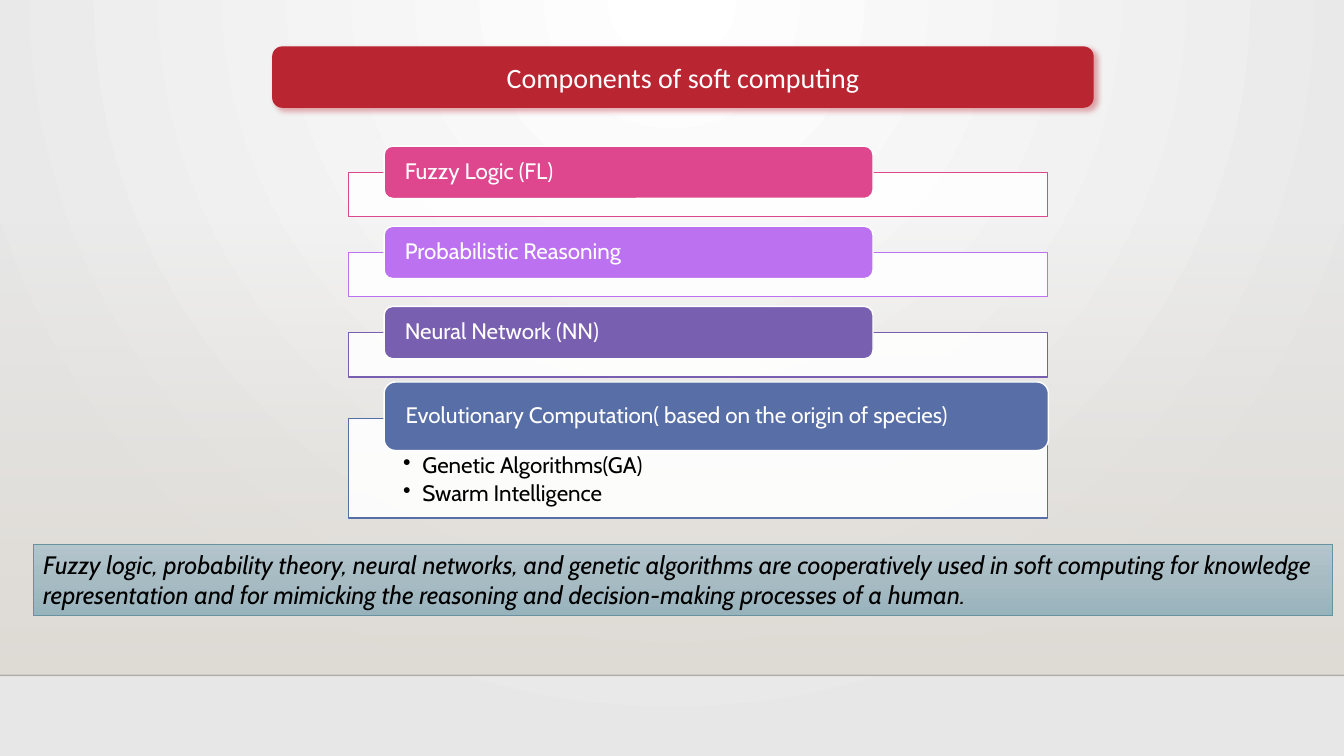
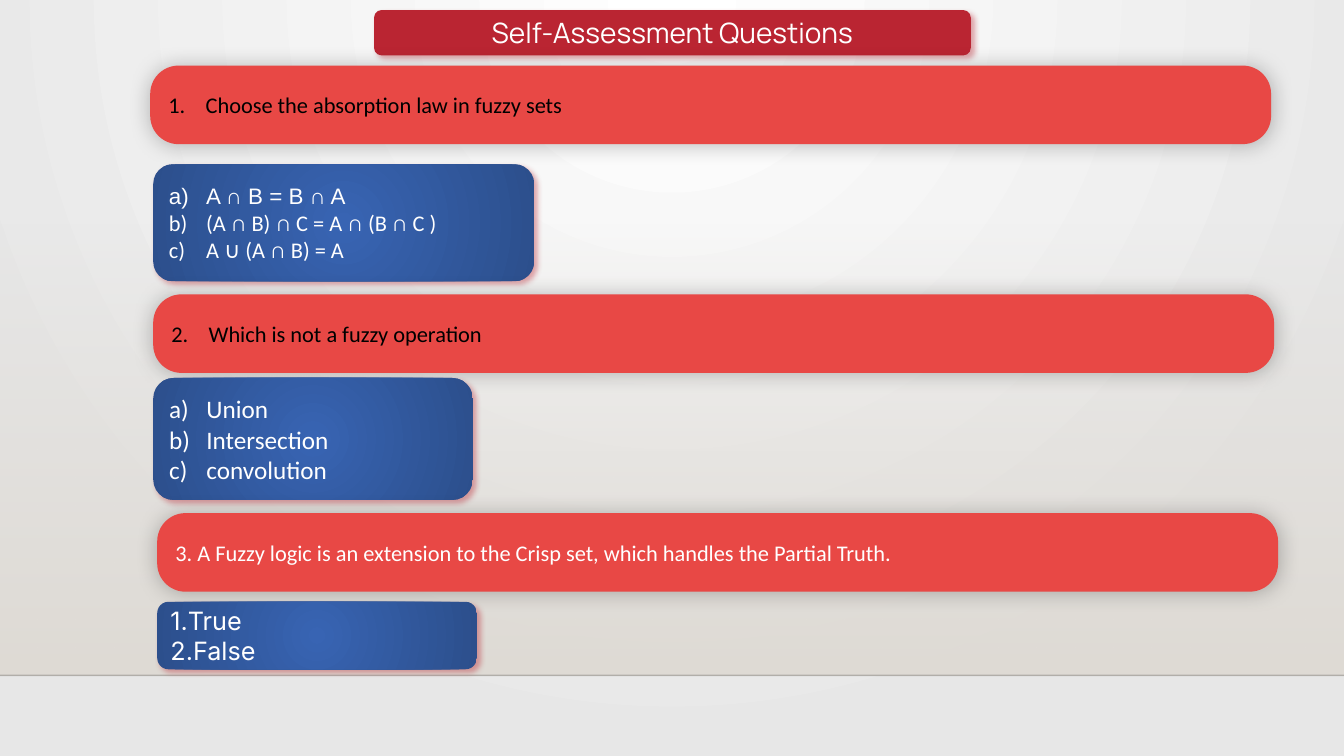
"""Build two slides on soft computing: its components and a self-assessment quiz."""
from dataclasses import dataclass, replace
from typing import NamedTuple, Optional

from pptx import Presentation
from pptx.dml.color import RGBColor
from pptx.enum.shapes import MSO_CONNECTOR, MSO_SHAPE
from pptx.enum.text import MSO_ANCHOR, PP_ALIGN
from pptx.oxml import parse_xml
from pptx.oxml.ns import nsdecls, qn
from pptx.util import Inches, Pt

W, H = 13.33, 7.5
HORIZON = 89.33

COLORS = {
    "white": "FFFFFF", "black": "000000", "mist": "E7E7E7", "sand": "DFDBD5",
    "title": "BA2532", "question": "E84845",
    "answer": "3864B3", "answer_edge": "2C4F8C",
    "note_top": "B4C5CC", "note_mid": "A7BBC3", "note_end": "98B3BC", "note_line": "6892A0",
    "pink": "DE478E", "violet": "BC72F0", "purple": "795FAF", "blue": "586EA6",
}


class Box(NamedTuple):
    """Left, top, width and height as percentages of the slide."""
    x: float
    y: float
    w: float
    h: float


class Stop(NamedTuple):
    """Gradient stop; position and opacity in percent."""
    pos: int
    color: str
    alpha: int = 100


class Shadow(NamedTuple):
    """Outer shadow; opacity in percent, blur and distance in points."""
    color: str
    alpha: int
    blur: int
    dist: int
    angle: int


@dataclass(frozen=True)
class Style:
    """Look of a paragraph; indent in inches, spacing in points."""
    font: str = "Calibri"
    size: int = 16
    color: str = "white"
    italic: bool = False
    align: PP_ALIGN = PP_ALIGN.LEFT
    bullet: str = ""
    start: int = 1
    indent: float = 0
    spacing: float = 1
    after: float = 0


class Line(NamedTuple):
    """One paragraph of text."""
    text: str
    style: Style


class Component(NamedTuple):
    """Heading tab over the top edge of a frame."""
    name: str
    color: str
    y: float
    head_w: float = 36.38
    head_h: float = 6.93
    rise: float = 3.47
    body_h: float = 5.87
    points: tuple[str, ...] = ()


class Quiz(NamedTuple):
    """A question bar with its answer card."""
    question: Line
    answers: tuple[Line, ...]
    x: float
    y: float
    card_y: float
    card_w: float
    card_h: float


GLOW = Shadow("title", 40, 4, 3, 45)
HALO = Shadow("black", 25, 15, 0, 0)
NOTE_STOPS = (Stop(0, "note_top"), Stop(50, "note_mid"), Stop(100, "note_end"))
CARD_STOPS = (Stop(0, "answer"), Stop(100, "answer_edge"))

TITLE = Style(size=20, align=PP_ALIGN.CENTER)
NOTE = Style("Cabin", 18, "black", italic=True)
HEAD = Style("Cabin", spacing=0.9)
POINT = Style("Cabin", color="black", bullet="•", indent=0.19, spacing=0.9, after=2.4)
ASK = Style(color="black", bullet="arabicPeriod", indent=0.37)
OPTION = Style(bullet="alphaLcParenR", indent=0.37)
OPTION_BIG = replace(OPTION, size=18)
VERDICT = Style("Inter", 18, align=PP_ALIGN.JUSTIFY, bullet="arabicPeriod")

COMPONENTS = (
    Component("Fuzzy Logic (FL)", "pink", 22.8),
    Component("Probabilistic Reasoning", "violet", 33.4),
    Component("Neural Network (NN)", "purple", 44),
    Component("Evolutionary Computation( based on the origin of species)", "blue", 55.33,
              49.43, 9.07, 4.8, 13.2, ("Genetic Algorithms(GA)", "Swarm Intelligence")),
)
SUMMARY = (
    "Fuzzy logic, probability theory, neural networks, and genetic algorithms are "
    "cooperatively used in soft computing for knowledge representation and for mimicking "
    "the reasoning and decision-making processes of a human."
)
QUIZZES = (
    Quiz(Line("Choose the absorption law in fuzzy sets", ASK),
         (Line("A ∩ B = B ∩ A", replace(OPTION, font="Arial")),
          Line("(A ∩ B) ∩ C = A ∩ (B ∩ C )", OPTION),
          Line("A ∪ (A ∩ B) = A", OPTION)),
         11.18, 8.67, 21.73, 28.35, 15.47),
    Quiz(Line("Which is not a fuzzy operation", replace(ASK, start=2)),
         tuple(Line(t, OPTION_BIG) for t in ("Union", "Intersection", "convolution")),
         11.4, 38.93, 50, 23.78, 16.13),
    Quiz(Line("3. A Fuzzy logic is an extension to the Crisp set, which handles the Partial Truth.",
              Style()),
         tuple(Line(t, VERDICT) for t in ("True", "False")),
         11.7, 67.87, 79.6, 23.78, 8.93),
)


def rgb(name: str) -> RGBColor:
    """Look up a colour."""
    return RGBColor.from_string(COLORS[name])


def place(box: Box) -> list:
    """Turn percentages of the slide into lengths."""
    return [Inches(v * side / 100) for v, side in zip(box, (W, H, W, H))]


def color_xml(name: str, alpha: int = 100) -> str:
    """Colour markup with opacity."""
    return f'<a:srgbClr val="{COLORS[name]}"><a:alpha val="{alpha * 1000}"/></a:srgbClr>'


def set_gradient(fill, parent, stops: tuple[Stop, ...],
                 focus: Optional[tuple[int, int, int, int]] = None) -> None:
    """Fill with a downward gradient, or a circular one around a focus."""
    fill.background()
    gs = "".join(f'<a:gs pos="{g.pos * 1000}">{color_xml(g.color, g.alpha)}</a:gs>' for g in stops)
    if focus:
        sides = " ".join(f'{k}="{v * 1000}"' for k, v in zip("ltrb", focus))
        shade = f'<a:path path="circle"><a:fillToRect {sides}/></a:path>'
    else:
        shade = '<a:lin ang="5400000" scaled="0"/>'
    grad = parse_xml(f'<a:gradFill {nsdecls("a")} rotWithShape="1"><a:gsLst>{gs}</a:gsLst>'
                     f'{shade}</a:gradFill>')
    parent.replace(parent.find(qn("a:noFill")), grad)


def set_alpha(parent, alpha: int) -> None:
    """Make the first colour below an element see-through."""
    clr = parent.find(".//" + qn("a:srgbClr"))
    clr.append(parse_xml(f'<a:alpha {nsdecls("a")} val="{alpha * 1000}"/>'))


def add_box(s, box: Box, fill: str = "", line: str = "", width: float = 1,
            rounded: bool = False, shadow: Optional[Shadow] = None):
    """Add a rectangle with optional fill, outline and shadow."""
    kind = MSO_SHAPE.ROUNDED_RECTANGLE if rounded else MSO_SHAPE.RECTANGLE
    sp = s.shapes.add_shape(kind, *place(box))
    sp.shadow.inherit = False
    if fill:
        sp.fill.solid()
        sp.fill.fore_color.rgb = rgb(fill)
    if line:
        sp.line.color.rgb = rgb(line)
        sp.line.width = Pt(width)
    else:
        sp.line.fill.background()
    if shadow:
        sp.element.spPr.find(qn("a:effectLst")).append(parse_xml(
            f'<a:outerShdw {nsdecls("a")} blurRad="{Pt(shadow.blur)}" dist="{Pt(shadow.dist)}" '
            f'dir="{shadow.angle * 60000}" algn="ctr" rotWithShape="0">'
            f'{color_xml(shadow.color, shadow.alpha)}</a:outerShdw>'))
    return sp


def add_bullet(p, st: Style) -> None:
    """Give a paragraph a bullet sign or an automatic number."""
    pPr = p._p.get_or_add_pPr()
    pPr.set("marL", str(Inches(st.indent)))
    pPr.set("indent", str(-Inches(st.indent)))
    if st.bullet == "•":
        mark = 'buChar', 'char="•"'
    else:
        start = f' startAt="{st.start}"' if st.start > 1 else ""
        mark = 'buAutoNum', f'type="{st.bullet}"{start}'
    pPr.append(parse_xml(f'<a:buClr {nsdecls("a")}>{color_xml(st.color)}</a:buClr>'))
    pPr.append(parse_xml(f'<a:{mark[0]} {nsdecls("a")} {mark[1]}/>'))


def write(sp, lines: tuple[Line, ...], anchor: MSO_ANCHOR = MSO_ANCHOR.MIDDLE,
          insets: tuple[float, float, float, float] = (0.1, 0.05, 0.1, 0.05)) -> None:
    """Write paragraphs into a shape."""
    tf = sp.text_frame
    tf.word_wrap = True
    tf.vertical_anchor = anchor
    tf.margin_left, tf.margin_top, tf.margin_right, tf.margin_bottom = map(Inches, insets)
    for i, (text, st) in enumerate(lines):
        p = tf.add_paragraph() if i else tf.paragraphs[0]
        p.alignment = st.align
        p.line_spacing = st.spacing
        p.space_after = Pt(st.after)
        if st.bullet:
            add_bullet(p, st)
        r = p.add_run()
        r.text = text
        r.font.name = st.font
        r.font.size = Pt(st.size)
        r.font.italic = st.italic
        r.font.color.rgb = rgb(st.color)


def add_base(prs):
    """Add a blank slide with the shared backdrop and horizon."""
    s = prs.slides.add_slide(prs.slide_layouts[6])
    fill = s.background.fill
    fill.background()
    set_gradient(fill, s.element.find(".//" + qn("p:bgPr")),
                 (Stop(0, "white"), Stop(100, "mist")), (43, 0, 43, 100))
    floor = add_box(s, Box(0, 29.47, 100, HORIZON - 29.47))
    set_gradient(floor.fill, floor.element.spPr, (Stop(0, "sand", 0), Stop(100, "sand")))
    x, y, w, _ = place(Box(0, HORIZON, 100, 0))
    line = s.shapes.add_connector(MSO_CONNECTOR.STRAIGHT, x, y, x + w, y)
    line.line.color.rgb = rgb("black")
    line.line.width = Pt(1)
    spPr = line.element.spPr
    set_alpha(spPr, 20)
    spPr.append(parse_xml(f'<a:effectLst {nsdecls("a")}/>'))
    return s


def add_title(s, text: str, box: Box, font: str = "Calibri") -> None:
    """Add the red title plate."""
    sp = add_box(s, box, "title", rounded=True, shadow=GLOW)
    write(sp, (Line(text, replace(TITLE, font=font)),))


def add_component(s, c: Component) -> None:
    """Draw a frame and the tab on its top edge."""
    body = add_box(s, Box(25.95, c.y, 51.98, c.body_h), "white", c.color)
    set_alpha(body.element.spPr, 90)
    if c.points:
        write(body, tuple(Line(t, POINT) for t in c.points), MSO_ANCHOR.TOP,
              (0.54, 0.36, 0.54, 0.12))
    head = add_box(s, Box(28.58, c.y - c.rise, c.head_w, c.head_h), c.color, "white", rounded=True)
    write(head, (Line(c.name, HEAD),), insets=(0.18, 0, 0.18, 0))


def add_quiz(s, q: Quiz) -> None:
    """Draw a question bar and its answer card."""
    bar = add_box(s, Box(q.x, q.y, 83.4, 10.4), "question", rounded=True, shadow=HALO)
    bar.adjustments[0] = 0.36
    write(bar, (q.question,))
    card = add_box(s, Box(max(q.x, 11.4), q.card_y, q.card_w, q.card_h), rounded=True, shadow=GLOW)
    set_gradient(card.fill, card.element.spPr, CARD_STOPS, (50, 50, 50, 50))
    write(card, q.answers)


def main() -> None:
    """Build and save the slides."""
    prs = Presentation()
    prs.slide_width, prs.slide_height = Inches(W), Inches(H)

    s = add_base(prs)
    note = add_box(s, Box(2.48, 72, 96.68, 9.47), line="note_line", width=0.5)
    set_gradient(note.fill, note.element.spPr, NOTE_STOPS)
    write(note, (Line(SUMMARY, NOTE),), MSO_ANCHOR.TOP)
    for c in COMPONENTS:
        add_component(s, c)
    add_title(s, "Components of soft computing", Box(20.25, 6.13, 61.13, 8.13))

    s = add_base(prs)
    add_title(s, "Self-Assessment Questions", Box(27.83, 1.33, 44.4, 6), "Manrope")
    for q in QUIZZES:
        add_quiz(s, q)
    prs.save("out.pptx")


if __name__ == "__main__":
    main()
